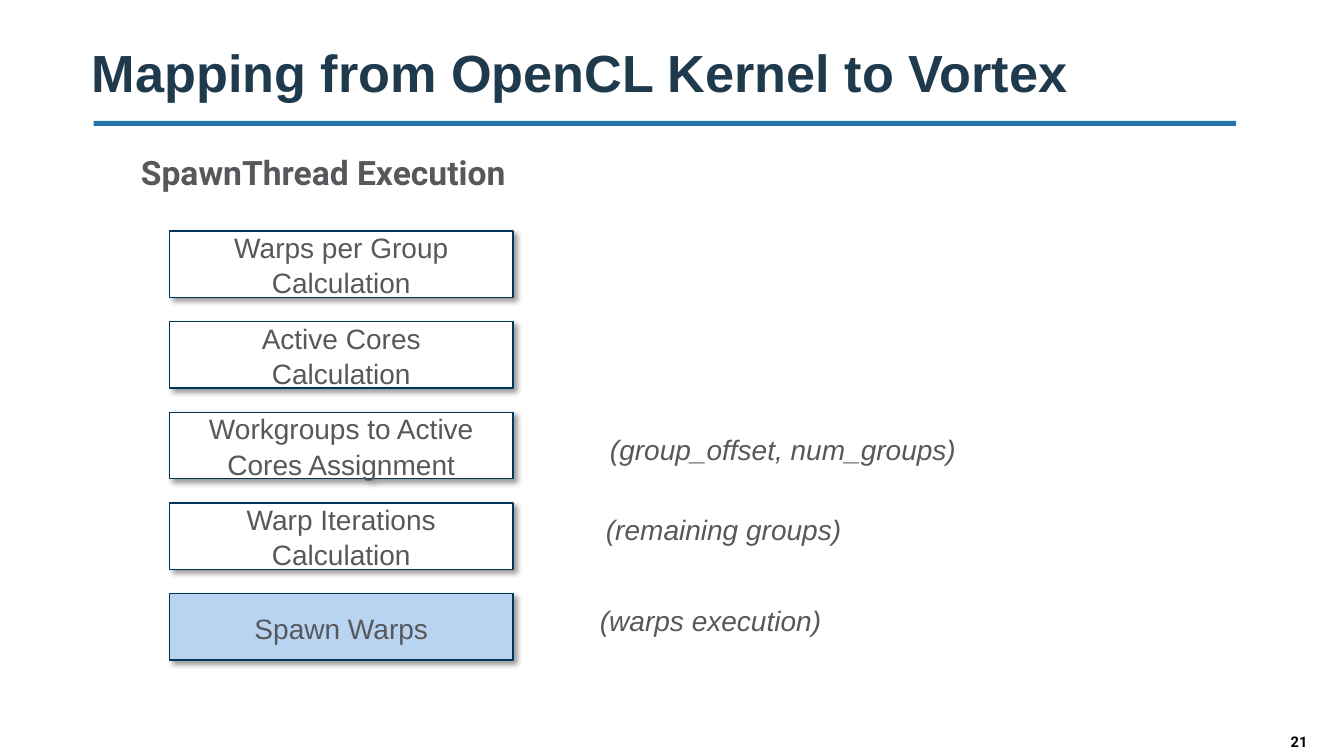
import pptx
import pptx.util
import pptx.dml.color
import pptx.enum.shapes
import pptx.enum.text
import pptx.oxml
import pptx.oxml.ns

Inches = pptx.util.Inches
Align = pptx.enum.text.PP_ALIGN
Anchor = pptx.enum.text.MSO_ANCHOR
RECTANGLE = pptx.enum.shapes.MSO_SHAPE.RECTANGLE

COLORS = {
    "title": "1F394D",
    "rule": "2774AE",
    "text": "57585B",
    "number": "000000",
    "border": "00375B",
    "step": "FFFFFF",
    "last step": "B9D4F1",
}
SHADOW = (
    f'<a:effectLst {pptx.oxml.ns.nsdecls("a")}>'
    '<a:outerShdw blurRad="50800" dist="38100" dir="2700000" algn="tl" rotWithShape="0">'
    '<a:srgbClr val="000000"><a:alpha val="40000"/></a:srgbClr>'
    '</a:outerShdw></a:effectLst>'
)


def color(name):
    return pptx.dml.color.RGBColor.from_string(COLORS[name])


def write(box, lines, color_name, font, frame_format, para_format):
    frame = box.text_frame
    frame.text = "\n".join(lines)
    for name, value in {"word_wrap": True, **frame_format}.items():
        setattr(frame, name, value)
    for para in frame.paragraphs:
        for name, value in para_format.items():
            setattr(para, name, value)
        for span in para.runs:
            for name, value in font.items():
                setattr(span.font, name, value)
            span.font.color.rgb = color(color_name)


deck = pptx.Presentation()
deck.slide_width = Inches(13.33)
deck.slide_height = Inches(7.5)
page = deck.slides.add_slide(deck.slide_layouts[5])

title = page.shapes.title
title.left, title.top = Inches(0.81), Inches(0.15)
title.width, title.height = Inches(12.33), Inches(0.92)
write(title, ["Mapping from OpenCL Kernel to Vortex"], "title",
      {"name": "Arial", "size": pptx.util.Pt(37.3), "bold": True},
      {"vertical_anchor": Anchor.BOTTOM, "auto_size": pptx.enum.text.MSO_AUTO_SIZE.NONE},
      {"alignment": Align.LEFT})

rule = page.shapes.add_shape(RECTANGLE, Inches(0.93), Inches(1.2), Inches(11.33), Inches(0.05))
rule.shadow.inherit = False
rule.fill.solid()
rule.fill.fore_color.rgb = color("rule")
rule.line.fill.background()

heading = page.shapes.add_textbox(Inches(1.3), Inches(1.46), Inches(4.33), Inches(0.55))
write(heading, ["SpawnThread Execution"], "text",
      {"name": "Roboto", "size": pptx.util.Pt(24), "bold": True}, {}, {})

number = page.shapes.add_textbox(Inches(12.33), Inches(7.22), Inches(1.11), Inches(0.25))
write(number, ["21"], "number",
      {"name": "Roboto", "size": pptx.util.Pt(10.5), "bold": True}, {},
      {"alignment": Align.CENTER})

steps = [
    (["Warps per Group", "Calculation"], "step"),
    (["Active Cores", "Calculation"], "step"),
    (["Workgroups to Active Cores Assignment"], "step"),
    (["Warp Iterations Calculation"], "step"),
    (["Spawn Warps"], "last step"),
]
body_font = {"name": "Arial", "size": pptx.util.Pt(20)}
for index, (lines, fill) in enumerate(steps):
    step = page.shapes.add_shape(RECTANGLE, Inches(1.68), Inches(2.29 + 0.9 * index),
                                 Inches(3.41), Inches(0.66))
    step.fill.solid()
    step.fill.fore_color.rgb = color(fill)
    step.line.color.rgb = color("border")
    step.line.width = pptx.util.Pt(1)
    step._element.spPr.append(pptx.oxml.parse_xml(SHADOW))
    write(step, lines, "text", body_font, {"vertical_anchor": Anchor.MIDDLE},
          {"alignment": Align.CENTER, "line_spacing": 1.05})

notes = [
    ("(group_offset, num_groups)", 6.05, 4.27),
    ("(remaining groups)", 6.01, 5.07),
    ("(warps execution)", 5.95, 5.97),
]
margins = {f"margin_{side}": 0 for side in ("left", "top", "right", "bottom")}
for text, left, top in notes:
    note = page.shapes.add_textbox(Inches(left), Inches(top), Inches(4.26), Inches(0.34))
    write(note, [text], "text", {**body_font, "italic": True}, margins, {"line_spacing": 1.05})

deck.save("out.pptx")
